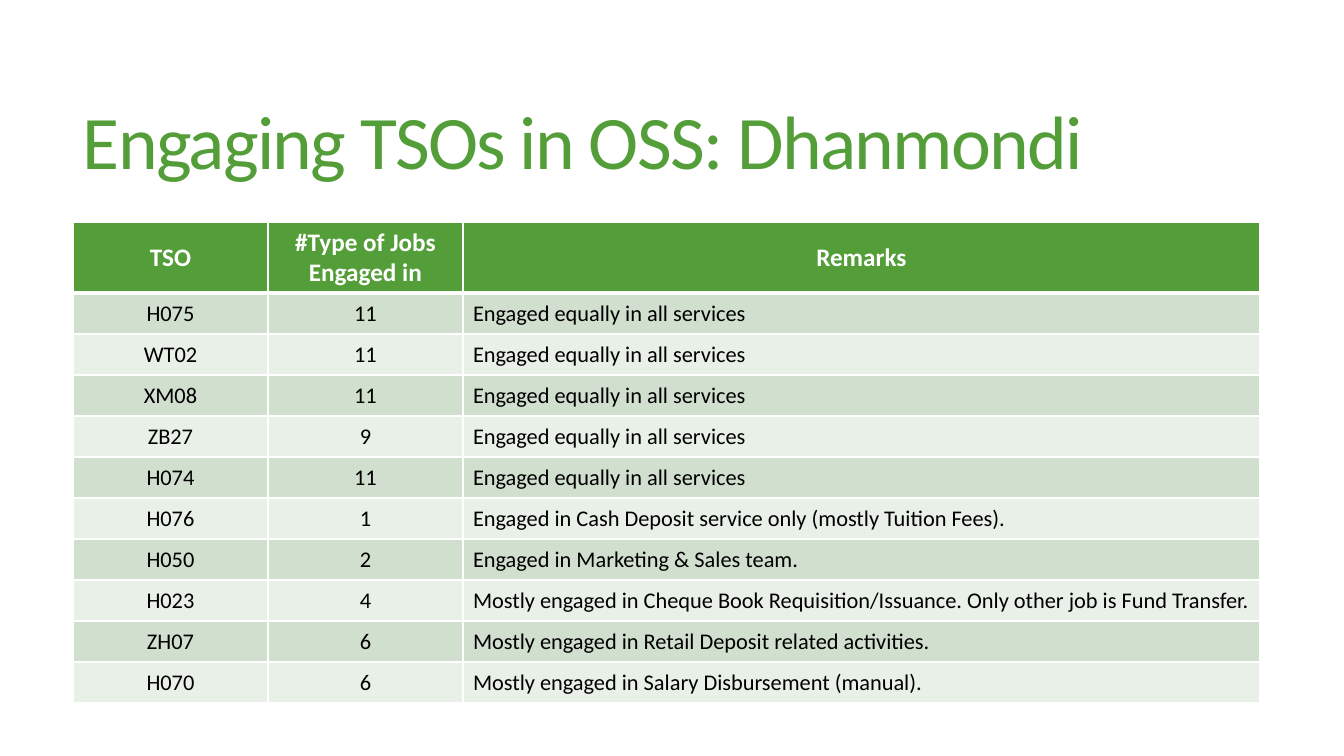
from dataclasses import dataclass

import pptx
import pptx.dml.color
import pptx.enum.text
import pptx.oxml.ns
import pptx.util
from lxml import etree

PX = 914400 / 100.8
ALIGN = pptx.enum.text.PP_ALIGN
MIDDLE = pptx.enum.text.MSO_ANCHOR.MIDDLE


@dataclass(frozen=True)
class Theme:
    font: str = "Calibri"
    green: str = "549E39"
    bands: tuple = ("D1DFCE", "E9F0E8")
    white: str = "FFFFFF"
    black: str = "000000"
    title: int = 54
    header: int = 18
    body: int = 16


THEME = Theme()
SAME = "Engaged equally in all services"
HEADER = ("TSO", "#Type of Jobs Engaged in", "Remarks")
OFFICERS = [
    ("H075", "11", SAME),
    ("WT02", "11", SAME),
    ("XM08", "11", SAME),
    ("ZB27", "9", SAME),
    ("H074", "11", SAME),
    ("H076", "1", "Engaged in Cash Deposit service only (mostly Tuition Fees)."),
    ("H050", "2", "Engaged in Marketing & Sales team."),
    ("H023", "4", "Mostly engaged in Cheque Book Requisition/Issuance. Only other job is Fund Transfer."),
    ("ZH07", "6", "Mostly engaged in Retail Deposit related activities."),
    ("H070", "6", "Mostly engaged in Salary Disbursement (manual)."),
]


def px(n):
    return pptx.util.Emu(round(n * PX))


def rgb(color):
    return pptx.dml.color.RGBColor.from_string(color)


def write(tf, text, size, color, bold=False, align=ALIGN.LEFT, line=None, spacing=None):
    p = tf.paragraphs[0]
    p.alignment = align
    if line:
        p.line_spacing = line
    r = p.add_run()
    r.text = text
    r.font.name = THEME.font
    r.font.size = pptx.util.Pt(size)
    r.font.bold = bold
    r.font.color.rgb = rgb(color)
    if spacing:
        r.font._element.set("spc", str(round(spacing * 100)))


def set_borders(cell, **widths):
    tc_pr = cell._tc.get_or_add_tcPr()
    qn = pptx.oxml.ns.qn
    for i, side in enumerate("LRTB"):
        ln = etree.Element(qn(f"a:ln{side}"), w=str(pptx.util.Pt(widths.get(side, 1))))
        fill = etree.SubElement(ln, qn("a:solidFill"))
        etree.SubElement(fill, qn("a:srgbClr"), val=THEME.white)
        tc_pr.insert(i, ln)


def add_title(s, text, x, y, w, h):
    tf = s.shapes.add_textbox(px(x), px(y), px(w), px(h)).text_frame
    tf.word_wrap = True
    tf.vertical_anchor = MIDDLE
    write(tf, text, THEME.title, THEME.green, line=0.85, spacing=-1.2)


def add_officer_table(s, x, y, w, h):
    rows = [HEADER, *OFFICERS]
    row_h = 41
    code_w = 195
    heights = [h - row_h * len(OFFICERS)] + [row_h] * len(OFFICERS)
    widths = [code_w, code_w, w - 2 * code_w]
    table = s.shapes.add_table(len(rows), len(widths), px(x), px(y), px(w), px(h)).table
    for col, width in zip(table.columns, widths):
        col.width = px(width)
    for i, values in enumerate(rows):
        table.rows[i].height = px(heights[i])
        head = i == 0
        for j, text in enumerate(values):
            cell = table.cell(i, j)
            cell.vertical_anchor = MIDDLE
            cell.fill.solid()
            cell.fill.fore_color.rgb = rgb(THEME.green if head else THEME.bands[(i - 1) % 2])
            if j == 0 and not head:
                cell.margin_left = cell.margin_right = cell.margin_top = px(1)
                cell.margin_bottom = 0
            set_borders(cell, B=3 if head else 1, T=3 if i == 1 else 1)
            write(
                cell.text_frame,
                text,
                THEME.header if head else THEME.body,
                THEME.white if head else THEME.black,
                bold=head,
                align=ALIGN.CENTER if head or j < 2 else ALIGN.LEFT,
            )


def main():
    prs = pptx.Presentation()
    prs.slide_width = px(1344)
    prs.slide_height = px(756)
    s = prs.slides.add_slide(prs.slide_layouts[6])
    add_title(s, "Engaging TSOs in OSS: Dhanmondi", 73, 55, 1187, 182)
    add_officer_table(s, 73, 222, 1187, 481)
    prs.save("out.pptx")


if __name__ == "__main__":
    main()
